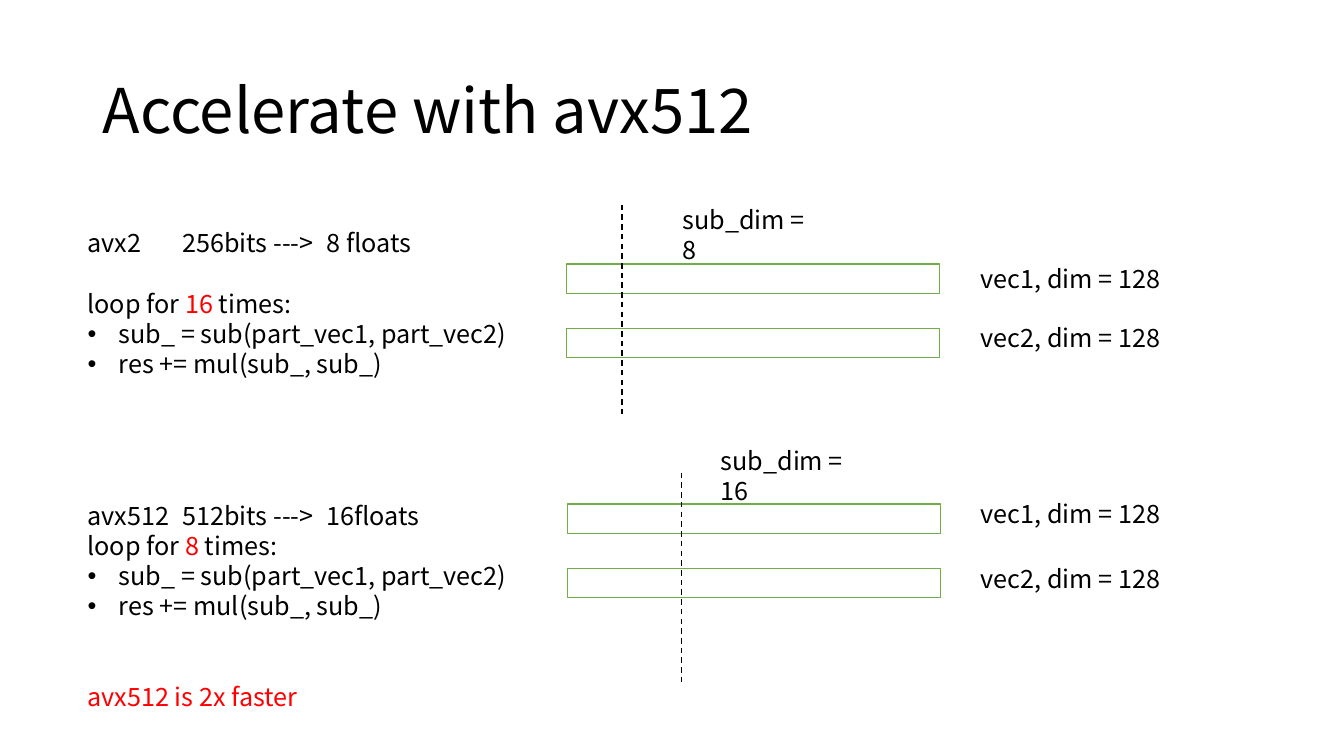
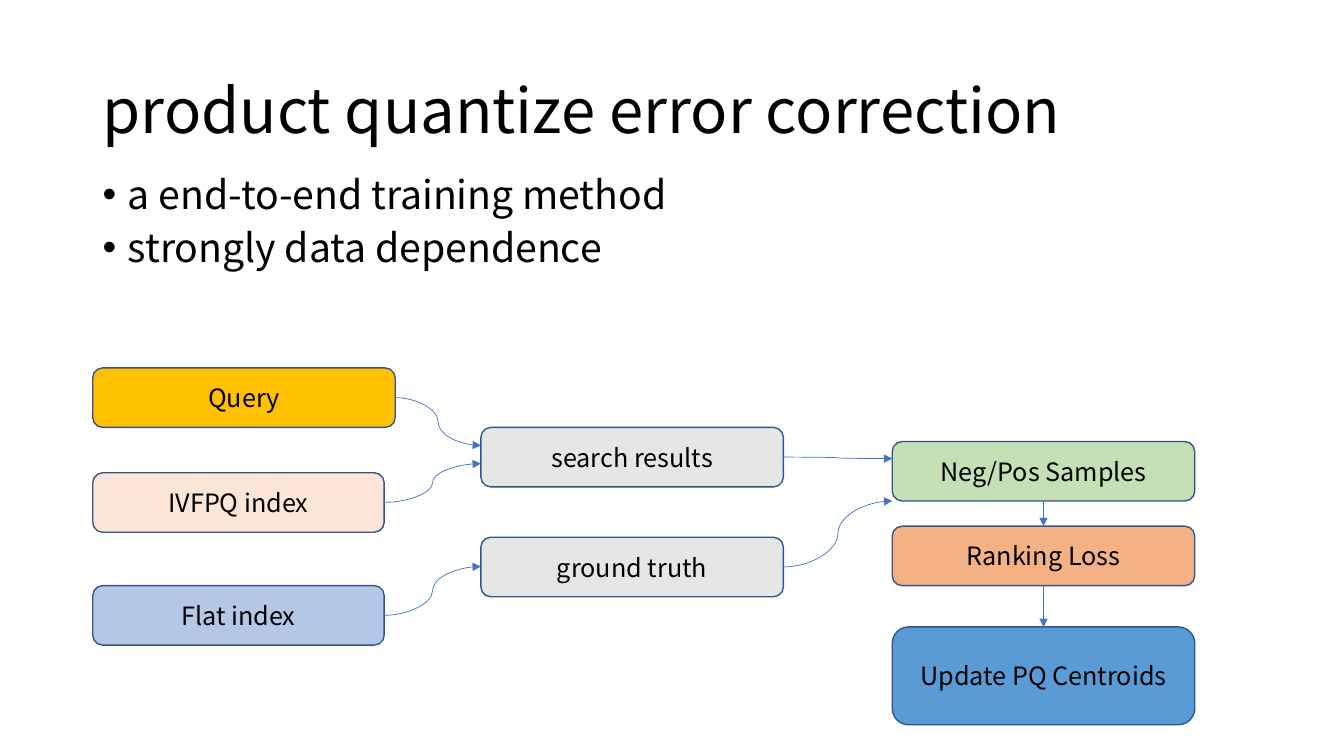
from dataclasses import dataclass

from lxml.etree import SubElement
from pptx import Presentation
from pptx.dml.color import RGBColor
from pptx.enum.dml import MSO_LINE
from pptx.enum.shapes import MSO_CONNECTOR as LINK, MSO_SHAPE as SHAPE
from pptx.enum.text import MSO_ANCHOR as ANCHOR, PP_ALIGN as ALIGN
from pptx.oxml.ns import qn
from pptx.util import Emu, Pt

EMU_PER_PX = 9144


@dataclass(frozen=True)
class Theme:
    font: str = "Noto Sans CJK SC"
    ink: str = "000000"
    paper: str = "FFFFFF"
    accent: str = "FF0000"
    vector: str = "70AD47"
    outline: str = "325491"
    arrow: str = "4472C4"
    query: str = "FFC000"
    ivfpq: str = "FBE5D6"
    flat: str = "B4C7E7"
    result: str = "E7E6E6"
    samples: str = "C5E0B4"
    loss: str = "F4B183"
    update: str = "5B9BD5"
    title_size: int = 44
    body_size: int = 28
    text_size: int = 18
    text_pitch: float = 21.6


THEME = Theme()


def px(length):
    return Emu(length * EMU_PER_PX)


def rgb(color):
    return RGBColor.from_string(color)


def style_run(run, size, color):
    run.font.name = THEME.font
    run.font.size = Pt(size)
    run.font.color.rgb = rgb(color)


def set_bullet(paragraph, indent):
    properties = paragraph._p.get_or_add_pPr()
    properties.set("marL", str(px(indent)))
    properties.set("indent", str(px(-indent)))
    SubElement(properties, qn("a:buFont")).set("typeface", "Arial")
    SubElement(properties, qn("a:buChar")).set("char", "•")


def set_tabs(paragraph, stops):
    tabs = SubElement(paragraph._p.get_or_add_pPr(), qn("a:tabLst"))
    for stop in stops:
        tab = SubElement(tabs, qn("a:tab"))
        tab.set("pos", str(px(stop)))
        tab.set("algn", "l")


def write(paragraph, parts, size=THEME.text_size, spacing=Pt(THEME.text_pitch)):
    paragraph.line_spacing = spacing
    for text, color in parts:
        run = paragraph.add_run()
        run.text = text
        style_run(run, size, color)


def add_frame(slide, left, top, width, height):
    frame = slide.shapes.add_textbox(px(left), px(top), px(width), px(height)).text_frame
    frame.word_wrap = True
    return frame


def next_paragraph(frame):
    first = frame.paragraphs[0]
    return frame.add_paragraph() if first.runs else first


def add_title(slide, text):
    frame = add_frame(slide, 92, 40, 1150, 145)
    frame.vertical_anchor = ANCHOR.MIDDLE
    write(frame.paragraphs[0], [(text, THEME.ink)], THEME.title_size, 0.9)


def add_label(slide, text, left, top, width):
    frame = add_frame(slide, left, top, width, 40)
    write(frame.paragraphs[0], [(text, THEME.ink)])


def add_points(slide, points):
    frame = add_frame(slide, 92, 172, 1150, 108)
    for point in points:
        paragraph = next_paragraph(frame)
        write(paragraph, [(point, THEME.ink)], THEME.body_size, Pt(28))
        paragraph.space_before = Pt(10)
        set_bullet(paragraph, 25)


def add_box(slide, kind, left, top, width, height, fill, line):
    box = slide.shapes.add_shape(kind, px(left), px(top), px(width), px(height))
    box.shadow.inherit = False
    box.fill.solid()
    box.fill.fore_color.rgb = rgb(fill)
    box.line.color.rgb = rgb(line)
    box.line.width = Pt(1)
    return box


def add_step(slide, text, left, top, fill, width=300, height=59):
    step = add_box(slide, SHAPE.ROUNDED_RECTANGLE, left, top, width, height, fill, THEME.outline)
    step.text_frame.vertical_anchor = ANCHOR.MIDDLE
    paragraph = step.text_frame.paragraphs[0]
    paragraph.alignment = ALIGN.CENTER
    write(paragraph, [(text, THEME.ink)])
    return step


def add_line(slide, kind, start, end, color, width):
    line = slide.shapes.add_connector(kind, *start, *end)
    line.line.color.rgb = rgb(color)
    line.line.width = Pt(width)
    SubElement(line._element.spPr, qn("a:effectLst"))
    return line


def add_arrow(slide, kind, start, end):
    arrow = add_line(slide, kind, start, end, THEME.arrow, 0.5)
    SubElement(arrow.line._get_or_add_ln(), qn("a:tailEnd")).set("type", "triangle")
    return arrow


def curve_to(slide, source, target, drop):
    start = (source.left + source.width, source.top + source.height // 2)
    add_arrow(slide, LINK.CURVE, start, (target.left, target.top + px(drop)))


def arrow_down(slide, upper, lower):
    center = upper.left + upper.width // 2
    arrow = add_arrow(slide, LINK.STRAIGHT, (center, upper.top + upper.height), (center, lower.top))
    arrow.begin_connect(upper, 2)
    arrow.end_connect(lower, 0)


def add_loop(frame, heading, times, lines_before, lines_between):
    intro = next_paragraph(frame)
    write(intro, [(heading, THEME.ink)])
    intro.space_before = Pt(lines_before * THEME.text_pitch)
    set_tabs(intro, (94, 237))
    count = next_paragraph(frame)
    write(count, [("loop for ", THEME.ink), (f"{times} ", THEME.accent), ("times:", THEME.ink)])
    count.space_before = Pt(lines_between * THEME.text_pitch)
    for operation in ("sub_ = sub(part_vec1, part_vec2)", "res += mul(sub_, sub_)"):
        paragraph = next_paragraph(frame)
        write(paragraph, [(operation, THEME.ink)])
        set_bullet(paragraph, 31)


def add_vectors(slide, left, top, cut, cut_top, label_tops):
    for row, label_top in enumerate(label_tops):
        add_box(slide, SHAPE.RECTANGLE, left, top + 64 * row, 370, 29, THEME.paper, THEME.vector)
        add_label(slide, f"vec{row + 1}, dim = 128", 963, label_top, 279)
    divider = add_line(slide, LINK.STRAIGHT, (px(cut), px(cut_top)),
                       (px(cut), px(cut_top + 211)), THEME.ink, 1)
    divider.line.dash_style = MSO_LINE.DASH


def build_acceleration(slide):
    frame = add_frame(slide, 77, 221, 450, 525)
    add_loop(frame, "avx2\t256bits --->\t8 floats", 16, 0, 1)
    add_loop(frame, "avx512\t512bits --->\t16floats", 8, 4, 0)
    verdict = next_paragraph(frame)
    write(verdict, [("avx512 is 2x faster", THEME.accent)])
    verdict.space_before = Pt(2 * THEME.text_pitch)

    add_title(slide, "Accelerate with avx512")
    add_vectors(slide, 562, 262, 617, 203, (256, 315))
    add_vectors(slide, 563, 500, 676, 469, (489, 554))
    add_label(slide, "sub_dim = 8", 667, 198, 150)
    add_label(slide, "sub_dim = 16", 705, 437, 160)


def build_correction(slide):
    add_title(slide, "product quantize error correction")
    add_points(slide, ("a end-to-end training method", "strongly data dependence"))

    query = add_step(slide, "Query", 92, 365, THEME.query)
    ivfpq = add_step(slide, "IVFPQ index", 92, 469, THEME.ivfpq, width=289)
    flat = add_step(slide, "Flat index", 92, 581, THEME.flat, width=289)
    results = add_step(slide, "search results", 477, 424, THEME.result)
    truth = add_step(slide, "ground truth", 477, 533, THEME.result)
    samples = add_step(slide, "Neg/Pos Samples", 885, 438, THEME.samples)
    loss = add_step(slide, "Ranking Loss", 885, 522, THEME.loss)
    update = add_step(slide, "Update PQ Centroids", 885, 622, THEME.update, height=97)

    for source, target, drop in (
        (query, results, 18),
        (ivfpq, results, 36),
        (flat, truth, 29),
        (results, samples, 17),
        (truth, samples, 59),
    ):
        curve_to(slide, source, target, drop)
    arrow_down(slide, samples, loss)
    arrow_down(slide, loss, update)


def main():
    deck = Presentation()
    deck.slide_width, deck.slide_height = px(1333), px(750)
    blank = deck.slide_layouts[6]
    for build in (build_acceleration, build_correction):
        build(deck.slides.add_slide(blank))
    deck.save("out.pptx")


if __name__ == "__main__":
    main()
